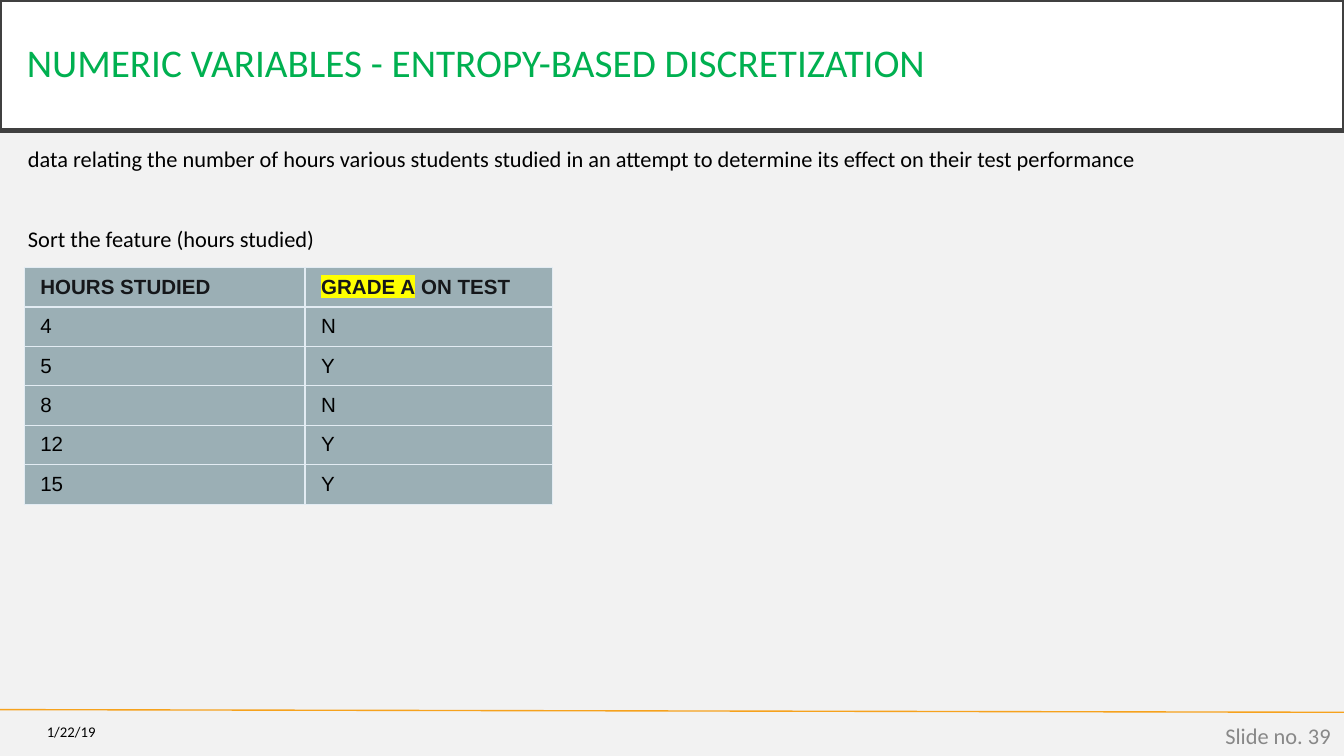
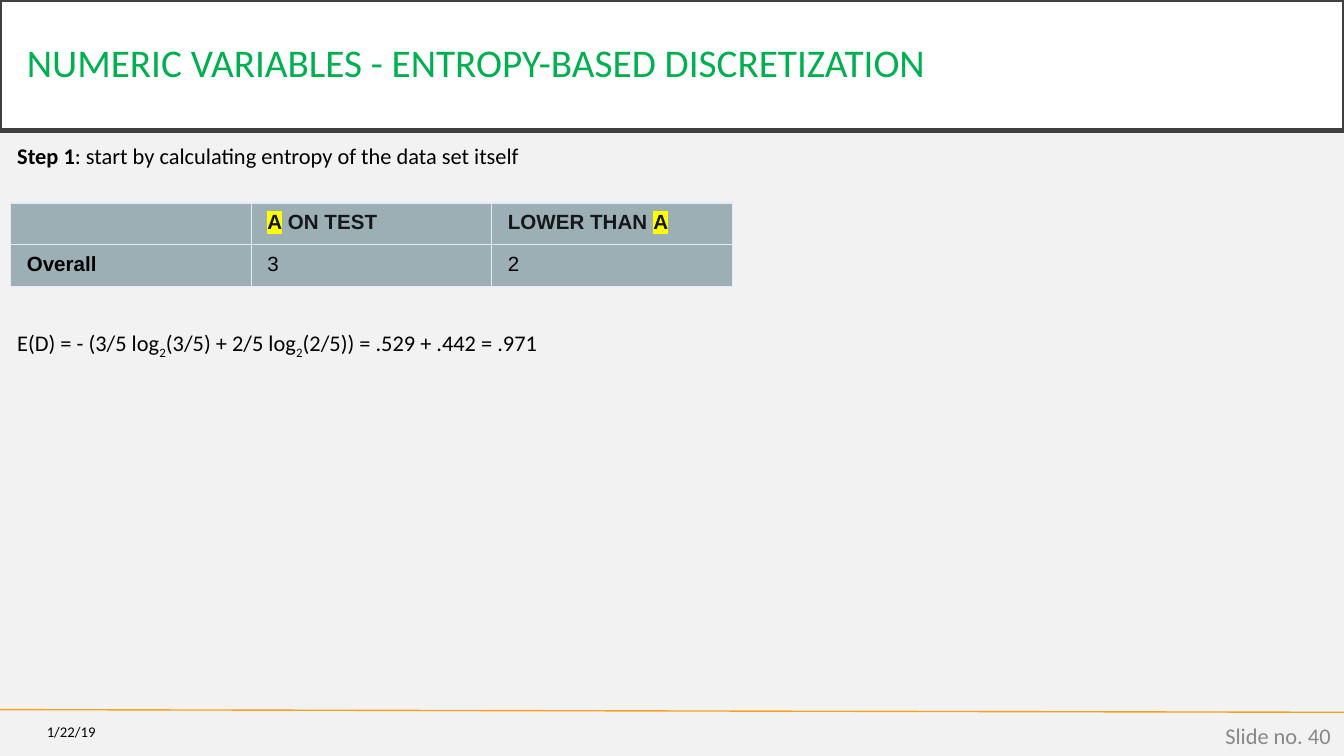
from dataclasses import dataclass
from typing import NamedTuple

from lxml.etree import SubElement
from pptx import Presentation
from pptx.dml.color import RGBColor
from pptx.enum.shapes import MSO_CONNECTOR
from pptx.enum.text import MSO_ANCHOR, MSO_AUTO_SIZE, PP_ALIGN
from pptx.oxml import parse_xml
from pptx.oxml.ns import nsdecls, qn
from pptx.util import Inches, Pt

# Slide size, 16:9
WIDTH = Inches(10)
HEIGHT = WIDTH * 9 // 16

# Colours and fonts
PAPER = RGBColor(0xF2, 0xF2, 0xF2)
WHITE = RGBColor(0xFF, 0xFF, 0xFF)
BLACK = RGBColor(0x00, 0x00, 0x00)
FRAME = RGBColor(0x40, 0x40, 0x40)
GREEN = RGBColor(0x00, 0xB0, 0x50)
ORANGE = RGBColor(0xF6, 0xA2, 0x1D)
GREY = RGBColor(0x88, 0x88, 0x88)
SLATE = RGBColor(0x9B, 0xAF, 0xB5)
INK = RGBColor(0x15, 0x17, 0x1A)
RULE = RGBColor(0xE3, 0xEC, 0xF3)
YELLOW = RGBColor(0xFF, 0xFF, 0x00)

TITLE = "NUMERIC VARIABLES - ENTROPY-BASED DISCRETIZATION"
GAP = 14.3  # points per empty line between paragraphs


class Span(NamedTuple):
    text: str
    bold: bool = False
    mark: bool = False
    sub: bool = False


class Style(NamedTuple):
    name: str
    size: float
    color: RGBColor


class Box(NamedTuple):
    left: float
    top: float
    width: float
    height: float

    def emu(self) -> list:
        return [Inches(v) for v in self]


@dataclass
class Grid:
    left: float
    top: float
    cols: list
    row: float
    cells: list


@dataclass
class Page:
    number: int
    box: Box
    lines: list
    blank: int
    grid: Grid


HEAD = Style("Calibri", 21, GREEN)
BODY = Style("Calibri", 12, BLACK)
DATE = Style("Calibri", 7.9, BLACK)
FOOT = Style("Calibri", 12, GREY)
TOP = Style("Arial", 11, INK)
CELL = Style("Arial", 11, BLACK)


def assign(item, values: dict) -> None:
    for key, value in values.items():
        setattr(item, key, value)


def write(para, spans: list, style: Style) -> None:
    for span in spans:
        run = para.add_run()
        run.text = span.text
        assign(run.font, {"name": style.name, "size": Pt(style.size), "bold": span.bold})
        run.font.color.rgb = style.color
        props = run._r.get_or_add_rPr()
        if span.mark:
            props.find(qn("a:solidFill")).addnext(parse_xml(
                f'<a:highlight {nsdecls("a")}><a:srgbClr val="{YELLOW}"/></a:highlight>'))
        if span.sub:
            props.set("baseline", "-25000")
    if not spans:
        SubElement(para._p, qn("a:endParaRPr"), sz=str(style.size * 100))


def add_text(slide, box: Box, lines: list, style: Style, blank: int = 0,
             **frame):
    text = slide.shapes.add_textbox(*box.emu()).text_frame
    assign(text, {"word_wrap": True, **frame})
    for i, spans in enumerate(lines):
        para = text.add_paragraph() if i else text.paragraphs[0]
        if i:
            para.space_before = Pt(blank * GAP)
        write(para, spans, style)
    return text


def add_title(slide) -> None:
    title = slide.shapes.title
    assign(title, dict(zip(("left", "top", "width", "height"),
                           Box(0, 0, 10, 0.97).emu())))
    title.fill.solid()
    title.fill.fore_color.rgb = WHITE
    title.line.color.rgb = FRAME
    title.line.width = Pt(2.5)
    text = title.text_frame
    pad = Inches(0.2)
    assign(text, {"margin_left": pad, "margin_right": pad, "margin_top": pad,
                  "margin_bottom": pad, "word_wrap": True,
                  "auto_size": MSO_AUTO_SIZE.NONE,
                  "vertical_anchor": MSO_ANCHOR.MIDDLE})
    para = text.paragraphs[0]
    assign(para, {"alignment": PP_ALIGN.LEFT, "line_spacing": 0.9})
    write(para, [Span(TITLE)], HEAD)


def add_foot(slide, number: int) -> None:
    line = slide.shapes.add_connector(
        MSO_CONNECTOR.STRAIGHT, Inches(0), Inches(5.28), WIDTH, Inches(5.3))
    line.line.color.rgb = ORANGE
    line.line.width = Pt(0.75)
    SubElement(line._element.spPr, qn("a:effectLst"))
    notes = [(Box(0, 5.31, 0.81, 0.27), "1/22/19", DATE),
             (Box(7.75, 5.32, 2.25, 0.3), f"Slide no. {number}", FOOT)]
    for box, label, style in notes:
        text = add_text(slide, box, [[Span(label)]], style,
                        vertical_anchor=MSO_ANCHOR.MIDDLE)
        text.paragraphs[0].alignment = PP_ALIGN.RIGHT


def edge(cell) -> None:
    props = cell._tc.get_or_add_tcPr()
    for i, side in enumerate(("lnL", "lnR", "lnT", "lnB")):
        props.insert(i, parse_xml(
            f'<a:{side} {nsdecls("a")} w="{Pt(0.75)}"><a:solidFill>'
            f'<a:srgbClr val="{RULE}"/></a:solidFill></a:{side}>'))


def add_grid(slide, grid: Grid) -> None:
    rows = len(grid.cells)
    box = Box(grid.left, grid.top, sum(grid.cols), grid.row * rows)
    table = slide.shapes.add_table(rows, len(grid.cols), *box.emu()).table
    assign(table, {"first_row": False, "horz_banding": False})
    for col, width in zip(table.columns, grid.cols):
        col.width = Inches(width)
    side = Inches(0.12)
    for r, line in enumerate(grid.cells):
        table.rows[r].height = Inches(grid.row)
        for c, spans in enumerate(line):
            cell = table.cell(r, c)
            assign(cell, {"margin_left": side, "margin_right": side,
                          "margin_top": Inches(0.06),
                          "margin_bottom": Inches(0.05)})
            cell.fill.solid()
            cell.fill.fore_color.rgb = SLATE
            edge(cell)
            write(cell.text_frame.paragraphs[0], spans, CELL if r else TOP)


# Slide content
HOURS = [("4", "N"), ("5", "Y"), ("8", "N"), ("12", "Y"), ("15", "Y")]
PAGES = [
    Page(39, Box(0.11, 1.03, 9.19, 0.91),
         [[Span("data relating the number of hours various students studied in an "
                "attempt to determine its effect on their test performance")],
          [Span("Sort the feature (hours studied)")]], 2,
         Grid(0.18, 1.99, [2.09, 1.84], 0.29,
              [[[Span("HOURS STUDIED", True)],
                [Span("GRADE A", True, True), Span(" ON TEST", True)]],
               *[[[Span(v)] for v in pair] for pair in HOURS]])),
    Page(40, Box(0.03, 1.01, 5.96, 1.72),
         [[Span("Step 1", True),
           Span(": start by calculating entropy of the data set itself")],
          [Span("E(D) = - (3/5 log"), Span("2", sub=True),
           Span("(3/5) + 2/5 log"), Span("2", sub=True),
           Span("(2/5)) = .529 + .442 = .971")]], 6,
         Grid(0.08, 1.51, [1.79] * 3, 0.31,
              [[[], [Span("A", True, True), Span(" ON TEST", True)],
                [Span("LOWER THAN ", True), Span("A", True, True)]],
               [[Span("Overall", True)], [Span("3")], [Span("2")]]])),
]


def main() -> None:
    deck = Presentation()
    assign(deck, {"slide_width": WIDTH, "slide_height": HEIGHT})
    for page in PAGES:
        slide = deck.slides.add_slide(deck.slide_layouts[5])
        slide.background.fill.solid()
        slide.background.fill.fore_color.rgb = PAPER
        add_title(slide)
        add_foot(slide, page.number)
        add_text(slide, page.box, page.lines, BODY, page.blank,
                 auto_size=MSO_AUTO_SIZE.SHAPE_TO_FIT_TEXT)
        add_grid(slide, page.grid)
    deck.save("out.pptx")


if __name__ == "__main__":
    main()
